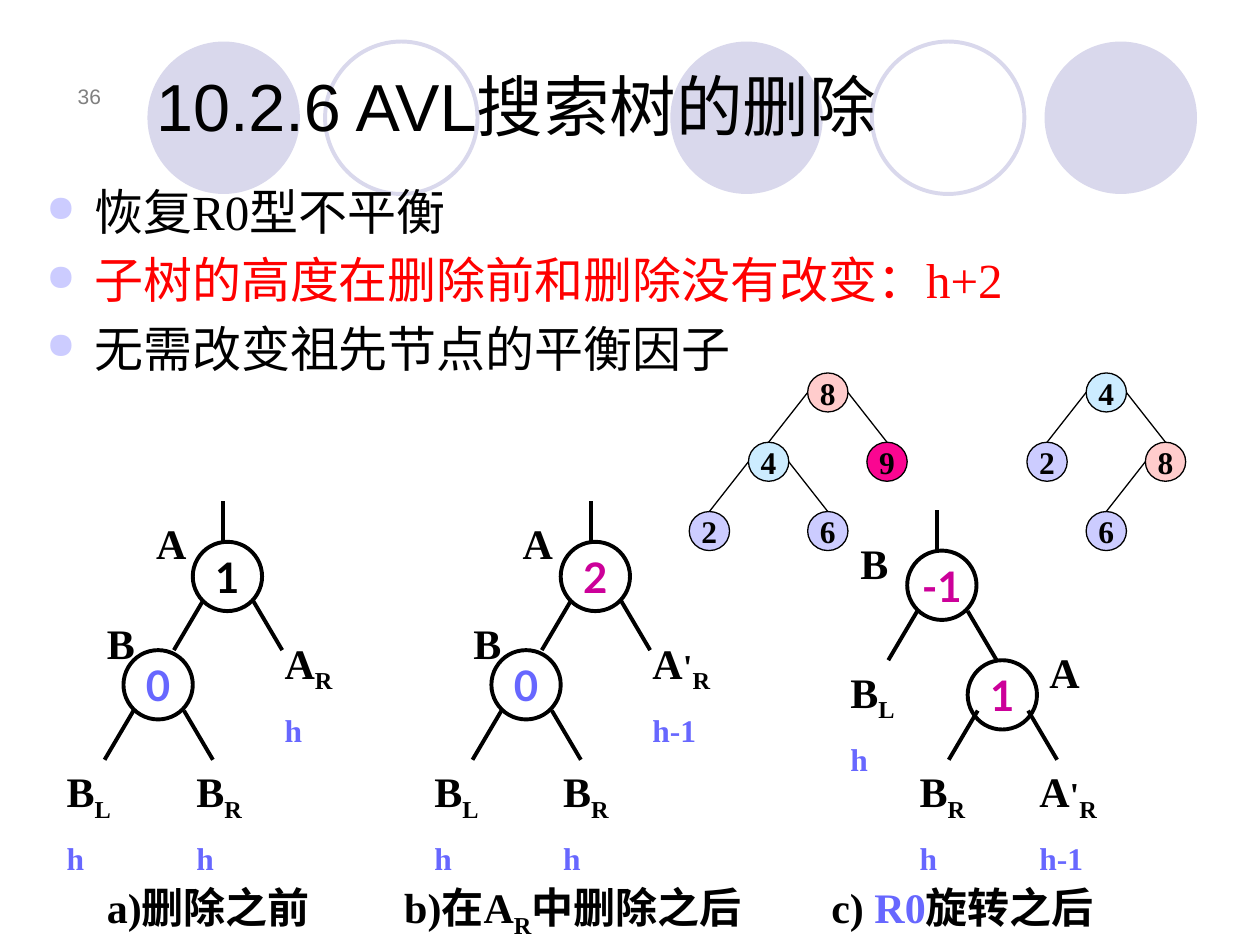
"""Build the AVL search tree deletion slide."""
from dataclasses import dataclass
from typing import NamedTuple, Optional

from lxml.etree import SubElement
from pptx import Presentation
from pptx.dml.color import RGBColor
from pptx.enum.shapes import MSO_CONNECTOR as Connector, MSO_SHAPE as Preset
from pptx.enum.text import MSO_ANCHOR as Anchor, PP_ALIGN as Align
from pptx.oxml.ns import qn
from pptx.util import Inches, Pt

BLACK = RGBColor(0x00, 0x00, 0x00)
GRAY = RGBColor(0x80, 0x80, 0x80)
RED = RGBColor(0xFF, 0x00, 0x00)
BLUE = RGBColor(0x67, 0x67, 0xFF)
MAGENTA = RGBColor(0xCC, 0x00, 0x99)
LAVENDER = RGBColor(0xD9, 0xD8, 0xEC)
LILAC = RGBColor(0xCC, 0xCC, 0xFF)
SKY = RGBColor(0xCC, 0xEC, 0xFF)
ROSE = RGBColor(0xFF, 0xCC, 0xCC)
PINK = RGBColor(0xFA, 0x06, 0x91)
SERIF = "Times New Roman"


class Span(NamedTuple):
    text: str
    size: float = 24
    color: RGBColor = BLACK
    subscript: bool = False


class Decoration(NamedTuple):
    left: float
    filled: bool


class SearchNode(NamedTuple):
    value: str
    fill: RGBColor
    column: int = 0
    row: int = 0
    parent: Optional[int] = None


@dataclass
class BalanceNode:
    left: float
    top: float
    factor: str
    color: RGBColor
    legs_bottom: float
    stem: bool = False


@dataclass
class Subtree:
    left: float
    top: float
    name: str
    side: str
    height: str = "h"
    width: float = 0.71


@dataclass
class Label:
    left: float
    top: float
    spans: list[Span]
    width: float = 0.47


DECORATIONS = [Decoration(5.32, True), Decoration(8.29, True), Decoration(1.17, True),
               Decoration(6.92, False), Decoration(2.58, False)]
BULLETS = [Span("恢复R0型不平衡", 28), Span("子树的高度在删除前和删除没有改变：h+2", 28, RED),
           Span("无需改变祖先节点的平衡因子", 28)]
BALANCE_NODES = [
    BalanceNode(1.53, 4.3, "1", BLACK, 5.16, True), BalanceNode(0.98, 5.16, "0", BLUE, 6.03),
    BalanceNode(4.45, 4.3, "2", MAGENTA, 5.16, True), BalanceNode(3.9, 5.16, "0", BLUE, 6.03),
    BalanceNode(7.2, 4.37, "-1", MAGENTA, 5.24, True), BalanceNode(7.68, 5.24, "1", MAGENTA, 6.03),
]
SUBTREES = [
    Subtree(0.43, 6.03, "B", "L", width=0.87), Subtree(1.46, 6.03, "B", "R"),
    Subtree(2.16, 5.01, "A", "R"),
    Subtree(3.35, 6.03, "B", "L", width=0.87), Subtree(4.37, 6.03, "B", "R"),
    Subtree(5.08, 5.01, "A'", "R", "h-1"),
    Subtree(6.65, 5.24, "B", "L", width=0.87), Subtree(7.2, 6.03, "B", "R"),
    Subtree(8.15, 6.03, "A'", "R", "h-1"),
]
LABELS = [
    Label(1.14, 4.06, [Span("A")]), Label(0.75, 4.85, [Span("B")]),
    Label(4.05, 4.06, [Span("A")]), Label(3.66, 4.85, [Span("B")]),
    Label(8.23, 5.08, [Span("A")]), Label(6.73, 4.22, [Span("B")]),
    Label(0.75, 6.95, [Span("a)删除之前")], 2.05),
    Label(3.11, 6.95, [Span("b)在A"), Span("R", subscript=True), Span("中删除之后")], 3.15),
    Label(6.5, 6.95, [Span("c) "), Span("R0", color=BLUE), Span("旋转之后")], 2.44),
]
BEFORE = [SearchNode("8", ROSE), SearchNode("4", SKY, -1, 1, 0), SearchNode("9", PINK, 1, 1, 0),
          SearchNode("2", LILAC, -2, 2, 1), SearchNode("6", LILAC, 0, 2, 1)]
AFTER = [SearchNode("4", SKY), SearchNode("2", LILAC, -1, 1, 0), SearchNode("8", ROSE, 1, 1, 0),
         SearchNode("6", LILAC, 0, 2, 2)]


def write(para, spans: list[Span], font: str, bold: bool = False) -> None:
    para.font.name = font
    para.font.bold = bold
    for span in spans:
        run = para.add_run()
        run.text = span.text
        run.font.size = Pt(span.size)
        run.font.color.rgb = span.color
        if span.subscript:
            run.font._element.set("baseline", "-25000")


def space_before(para, percent: int) -> None:
    spacing = para._p.get_or_add_pPr().get_or_add_spcBef()
    SubElement(spacing, qn("a:spcPct"), val=str(percent * 1000))


def add_bullet(para) -> None:
    properties = para._p.get_or_add_pPr()
    properties.set("marL", str(Inches(0.38)))
    properties.set("indent", str(Inches(-0.38)))
    color = SubElement(properties, qn("a:buClr"))
    SubElement(color, qn("a:srgbClr"), val=str(LILAC))
    SubElement(properties, qn("a:buSzPct"), val="75000")
    SubElement(properties, qn("a:buChar"), char="●")


def add_text(page, left: float, top: float, width: float, height: float,
             lines: list[list[Span]], font: str = SERIF, bold: bool = False,
             spacing: int = 0, bulleted: bool = False, anchor=Anchor.TOP, align=Align.LEFT) -> None:
    box = page.shapes.add_textbox(Inches(left), Inches(top), Inches(width), Inches(height))
    frame = box.text_frame
    frame.word_wrap = True
    frame.vertical_anchor = anchor
    for index, spans in enumerate(lines):
        para = frame.add_paragraph() if index else frame.paragraphs[0]
        para.alignment = align
        if spacing:
            space_before(para, spacing)
        if bulleted:
            add_bullet(para)
        write(para, spans, font, bold)


def add_circle(page, left: float, top: float, width: float, height: float,
               fill: Optional[RGBColor], line: Optional[RGBColor], weight: float = 2.25,
               span: Optional[Span] = None, font: str = SERIF) -> None:
    circle = page.shapes.add_shape(Preset.OVAL, Inches(left), Inches(top), Inches(width), Inches(height))
    circle.shadow.inherit = False
    for paint, color in ((circle.fill, fill), (circle.line.fill, line)):
        if color is None:
            paint.background()
        else:
            paint.solid()
            paint.fore_color.rgb = color
    if line is not None:
        circle.line.width = Pt(weight)
    if span:
        frame = circle.text_frame
        frame.word_wrap = False
        frame.vertical_anchor = Anchor.MIDDLE
        frame.paragraphs[0].alignment = Align.CENTER
        write(frame.paragraphs[0], [span], font, True)


def add_line(page, x1: float, y1: float, x2: float, y2: float, weight: float = 2.25) -> None:
    line = page.shapes.add_connector(Connector.STRAIGHT, Inches(x1), Inches(y1), Inches(x2), Inches(y2))
    line.line.color.rgb = BLACK
    line.line.width = Pt(weight)
    SubElement(line._element.spPr, qn("a:effectLst"))


def add_balance_node(page, node: BalanceNode) -> None:
    add_circle(page, node.left, node.top, 0.55, 0.55, None, BLACK,
               span=Span(node.factor, 24, node.color), font="Lato")
    for outer, inner in ((-0.15, 0.08), (0.71, 0.48)):
        add_line(page, node.left + outer, node.legs_bottom, node.left + inner, node.legs_bottom - 0.39)
    if node.stem:
        add_line(page, node.left + 0.24, node.top, node.left + 0.24, node.top - 0.32)


def add_subtree(page, subtree: Subtree) -> None:
    name = [Span(letter, 20 if letter == "'" else 24) for letter in subtree.name]
    lines = [name + [Span(subtree.side, subscript=True)], [Span(subtree.height, 18, BLUE)]]
    add_text(page, subtree.left, subtree.top, subtree.width, 0.95, lines, bold=True, spacing=50)


def add_search_tree(page, left: float, top: float, nodes: list[SearchNode]) -> None:
    width, height = 0.32, 0.31
    corners = [(left + node.column * 0.47, top + node.row * 0.55) for node in nodes]
    for node, (x, y) in zip(nodes, corners):
        add_circle(page, x, y, width, height, node.fill, BLACK, 0.75, Span(node.value, 18))
        if node.parent is not None:
            parent_x, parent_y = corners[node.parent]
            start = parent_x + (width if x > parent_x else 0)
            add_line(page, start, parent_y + height / 2, x + width / 2, y, 0.75)


def main() -> None:
    deck = Presentation()
    deck.slide_width, deck.slide_height = Inches(10), Inches(7.5)
    page = deck.slides.add_slide(deck.slide_layouts[6])
    for left, filled in DECORATIONS:
        add_circle(page, left, 0.33, 1.21, 1.21, LAVENDER if filled else None,
                   None if filled else LAVENDER)
    add_text(page, 0.35, 0.44, 0.55, 0.47, [[Span("36", 12, GRAY)]], "Arial",
             anchor=Anchor.BOTTOM, align=Align.RIGHT)
    add_text(page, 1.14, 0.21, 8.35, 0.99, [[Span("10.2.6 AVL搜索树的删除", 38)]], "Arial",
             anchor=Anchor.BOTTOM)
    add_text(page, 0.27, 1.39, 9.29, 1.57, [[span] for span in BULLETS], spacing=20, bulleted=True)
    for node in BALANCE_NODES:
        add_balance_node(page, node)
    for subtree in SUBTREES:
        add_subtree(page, subtree)
    for label in LABELS:
        add_text(page, label.left, label.top, label.width, 0.5, [label.spans], bold=True, spacing=50)
    add_search_tree(page, 6.41, 2.96, BEFORE)
    add_search_tree(page, 8.62, 2.96, AFTER)
    deck.save("out.pptx")


if __name__ == "__main__":
    main()
